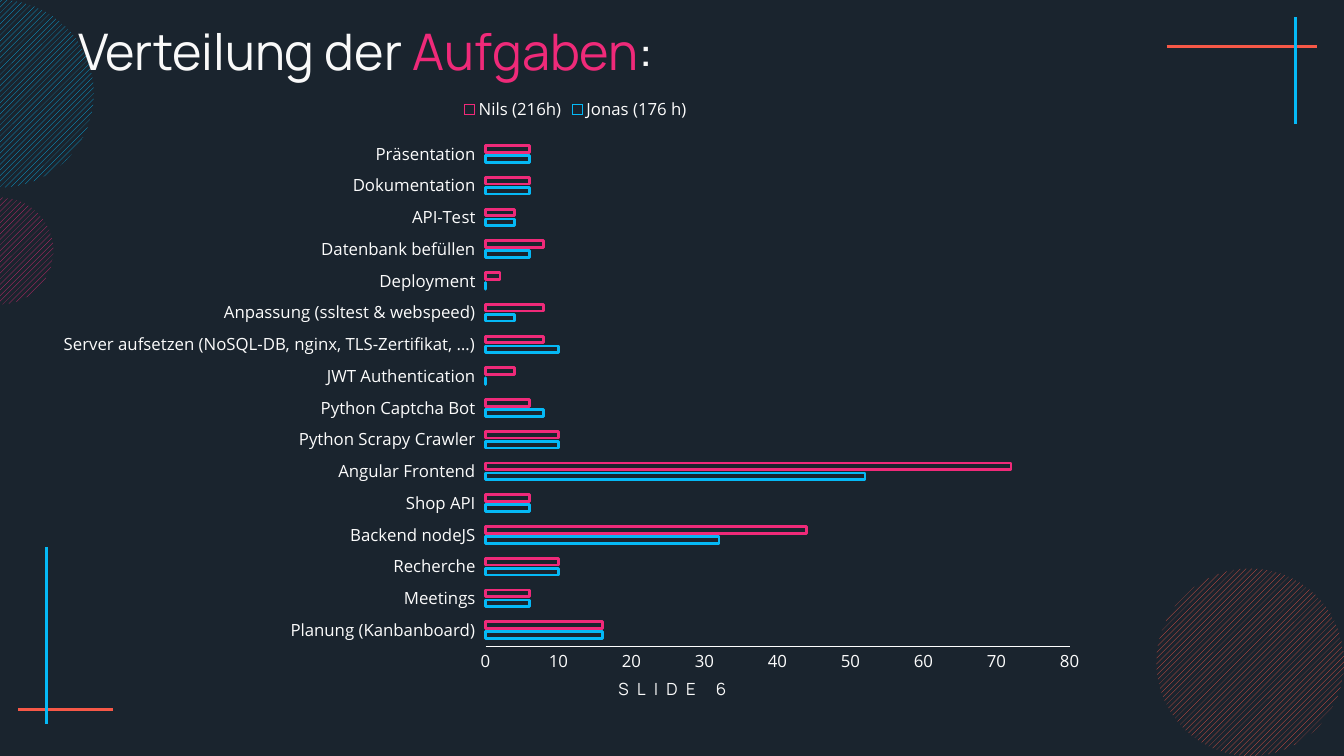
import pptx
import pptx.chart.data
import pptx.dml.color
import pptx.enum.chart
import pptx.enum.dml
import pptx.enum.shapes
import pptx.enum.text
import pptx.oxml
import pptx.oxml.ns
import pptx.util

Inches, Pt = pptx.util.Inches, pptx.util.Pt
COLORS = {"back": "1A242E", "white": "F9F9F9", "text": "FCFCFC", "axis": "FEFEFE",
          "red": "F75847", "blue": "05B9F6", "pink": "EF2A79"}

# Task, hours of Jonas, hours of Nils; from the bottom up
TASKS = [
    ("Planung (Kanbanboard)", 16, 16),
    ("Meetings", 6, 6),
    ("Recherche", 10, 10),
    ("Backend nodeJS", 32, 44),
    ("Shop API", 6, 6),
    ("Angular Frontend", 52, 72),
    ("Python Scrapy Crawler", 10, 10),
    ("Python Captcha Bot", 8, 6),
    ("JWT Authentication", 0, 4),
    ("Server aufsetzen (NoSQL-DB, nginx, TLS-Zertifikat, …)", 10, 8),
    ("Anpassung (ssltest & webspeed)", 4, 8),
    ("Deployment", 0, 2),
    ("Datenbank befüllen", 6, 8),
    ("API-Test", 4, 4),
    ("Dokumentation", 6, 6),
    ("Präsentation", 6, 6),
]
SERIES = [("Jonas (176 h)", "blue"), ("Nils (216h)", "pink")]
LINES = [  # x1, y1, x2, y2, color
    (11.57, 0.46, 13.06, 0.46, "red"),
    (12.85, 1.23, 12.85, 0.17, "blue"),
    (1.12, 7.04, 0.18, 7.04, "red"),
    (0.46, 5.43, 0.46, 7.18, "blue"),
]
DISCS = [(11.47, 5.64, 1.86, "red"), (-0.53, 1.96, 1.06, "pink"), (-0.93, 0, 1.86, "blue")]
TITLE = [("Verteilung der ", "white"), ("Aufgaben", "pink"), (":", "white")]
CHART = (0.51, 0.86, 10.4, 5.93)
PLOT = (4.82, 1.37, 5.79, 5.04)  # inner plot area on the slide


def rgb(name):
    return pptx.dml.color.RGBColor.from_string(COLORS[name])


def style(font, size, color, face="Open Sans"):
    font.size, font.name, font.bold = Pt(size), face, False
    font.color.rgb = rgb(color)


def add_text(slide, box, runs, size=12, face="Manrope", gap=0, lead=1):
    """Add one centred line of (text, color) runs; gap is letter spacing in points."""
    frame = slide.shapes.add_textbox(*map(Inches, box)).text_frame
    frame.word_wrap = True
    frame.vertical_anchor = pptx.enum.text.MSO_ANCHOR.MIDDLE
    para = frame.paragraphs[0]
    para.alignment = pptx.enum.text.PP_ALIGN.CENTER
    para.line_spacing = lead
    for text, color in runs:
        run = para.add_run()
        run.text = text
        style(run.font, size, color, face)
        if gap:
            run.font._element.set("spc", str(gap * 100))


def add_line(slide, x1, y1, x2, y2, color):
    line = slide.shapes.add_connector(
        pptx.enum.shapes.MSO_CONNECTOR.STRAIGHT, *map(Inches, (x1, y1, x2, y2)))
    line.line.color.rgb = rgb(color)
    line.line.width = Pt(2)
    line._element.spPr.append(pptx.oxml.parse_xml(
        f"<a:effectLst {pptx.oxml.ns.nsdecls('a')}/>"))


def add_disc(slide, left, top, size, color):
    disc = slide.shapes.add_shape(
        pptx.enum.shapes.MSO_SHAPE.OVAL, *map(Inches, (left, top, size, size)))
    disc.shadow.inherit = False
    disc.line.fill.background()
    disc.fill.patterned()
    disc.fill.pattern = pptx.enum.dml.MSO_PATTERN.WIDE_UPWARD_DIAGONAL
    disc.fill.fore_color.rgb = rgb(color)
    disc.fill.back_color.rgb = rgb("back")


def fix_plot(chart):
    """Pin the inner plot area to PLOT, as fractions of the chart."""
    left, top, width, height = CHART
    parts = {"x": (PLOT[0] - left) / width, "y": (PLOT[1] - top) / height,
             "w": PLOT[2] / width, "h": PLOT[3] / height}
    modes = "".join(f'<c:{k}Mode val="edge"/>' for k in "xy")
    sizes = "".join(f'<c:{k} val="{v:.3f}"/>' for k, v in parts.items())
    area = chart.element.chart.plotArea
    for old in area.findall(pptx.oxml.ns.qn("c:layout")):
        area.remove(old)
    area.insert(0, pptx.oxml.parse_xml(
        f"<c:layout {pptx.oxml.ns.nsdecls('c')}><c:manualLayout>"
        f'<c:layoutTarget val="inner"/>{modes}{sizes}</c:manualLayout></c:layout>'))


def add_chart(slide):
    names, *hours = zip(*TASKS)
    data = pptx.chart.data.CategoryChartData()
    data.categories = names
    for (name, _), vals in zip(SERIES, hours):
        data.add_series(name, vals)
    chart = slide.shapes.add_chart(
        pptx.enum.chart.XL_CHART_TYPE.BAR_CLUSTERED, *map(Inches, CHART), data).chart
    style(chart.font, 10, "white")
    chart.has_title = False
    chart.has_legend = True
    chart.legend.position = pptx.enum.chart.XL_LEGEND_POSITION.TOP
    chart.legend.include_in_layout = False
    style(chart.legend.font, 12, "text")

    plot = chart.plots[0]
    plot.gap_width, plot.overlap, plot.vary_by_categories = 227, -48, False
    for bar, (_, color) in zip(plot.series, SERIES):
        bar.format.fill.background()
        bar.format.line.color.rgb = rgb(color)
        bar.format.line.width = Pt(2)

    tasks, scale = chart.category_axis, chart.value_axis
    marks = pptx.enum.chart.XL_TICK_MARK
    for axis, mark in ((tasks, marks.OUTSIDE), (scale, marks.NONE)):
        style(axis.tick_labels.font, 12, "text")
        axis.major_tick_mark, axis.minor_tick_mark = mark, marks.NONE
        axis.has_major_gridlines = False
    tasks.format.line.fill.background()
    scale.format.line.color.rgb = rgb("axis")
    scale.format.line.width = Pt(0.75)
    scale.minimum_scale, scale.maximum_scale, scale.major_unit = 0, 80, 10
    fix_plot(chart)


def main():
    deck = pptx.Presentation()
    deck.slide_width, deck.slide_height = Inches(13.33), Inches(7.5)
    slide = deck.slides.add_slide(deck.slide_layouts[6])
    slide.background.fill.solid()
    slide.background.fill.fore_color.rgb = rgb("back")
    for line in LINES:
        add_line(slide, *line)
    for disc in DISCS:
        add_disc(slide, *disc)
    add_text(slide, (5.63, 6.63, 2.08, 0.41), [("SLIDE 6", "white")], gap=6)
    add_text(slide, (0.43, 0.22, 6.4, 0.64), TITLE, size=36, lead=0.9)
    add_chart(slide)
    deck.save("out.pptx")


if __name__ == "__main__":
    main()
